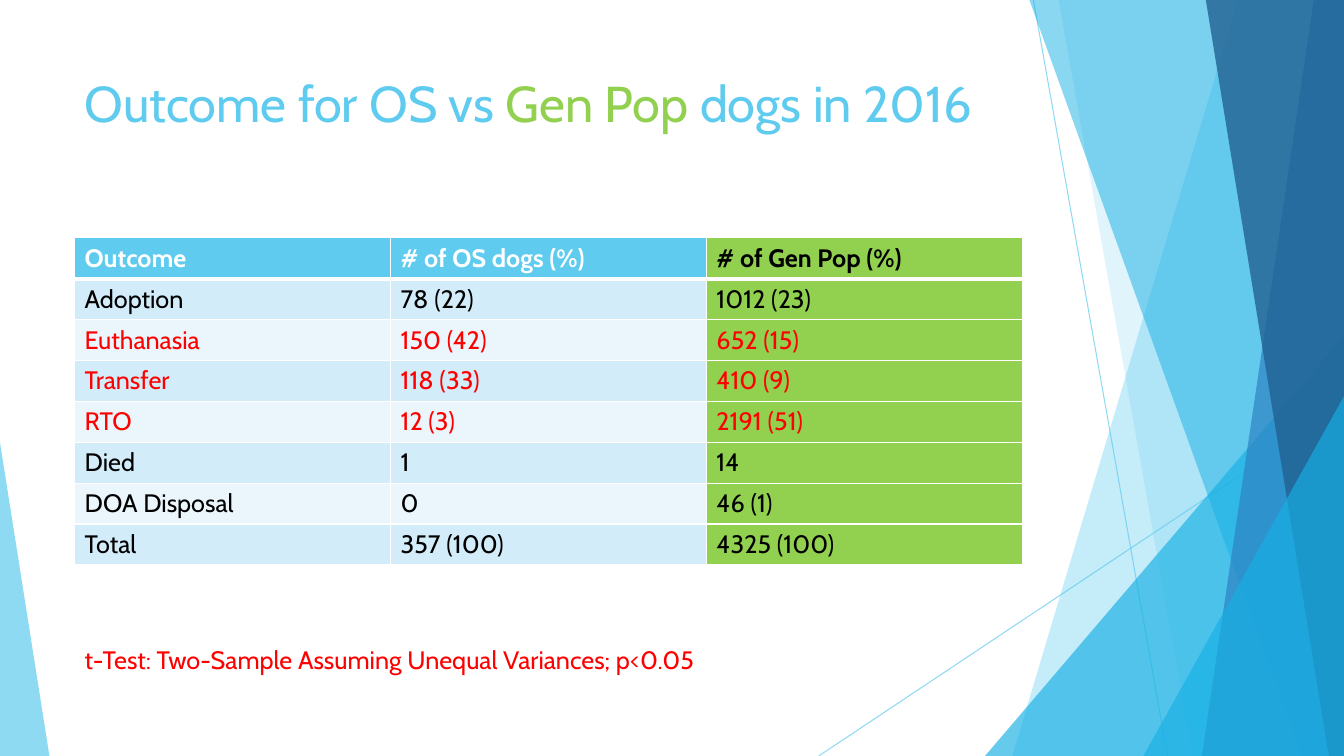
from lxml import etree
from pptx import Presentation
from pptx.dml.color import RGBColor
from pptx.enum.shapes import MSO_CONNECTOR, MSO_SHAPE
from pptx.enum.text import MSO_ANCHOR, MSO_AUTO_SIZE, PP_ALIGN
from pptx.oxml.ns import qn
from pptx.util import Inches, Pt

STRAIGHT = MSO_CONNECTOR.STRAIGHT
TRIANGLE = MSO_SHAPE.ISOSCELES_TRIANGLE
TOP, LEFT = MSO_ANCHOR.TOP, PP_ALIGN.LEFT
NO_AUTOSIZE, FIT_SHAPE = MSO_AUTO_SIZE.NONE, MSO_AUTO_SIZE.SHAPE_TO_FIT_TEXT

FONT = "Cabin"
SKY, CYAN, BLUE, NAVY = "5FCBEF", "17B0E4", "2E83C3", "226292"
GREEN, RED, BLACK, WHITE = "92D050", "FF0000", "000000", "FFFFFF"
BANDS = ("D2ECF9", "EAF6FC")
WIDTH, HEIGHT = 13.33, 7.5

HEADER = ("Outcome", "# of OS dogs (%)", "# of Gen Pop (%)")
OUTCOMES = [
    ("Adoption", "78 (22)", "1012 (23)"),
    ("Euthanasia", "150 (42)", "652 (15)"),
    ("Transfer", "118 (33)", "410 (9)"),
    ("RTO", "12 (3)", "2191 (51)"),
    ("Died", "1", "14"),
    ("DOA Disposal", "0", "46 (1)"),
    ("Total", "357 (100)", "4325 (100)"),
]
SIGNIFICANT = ("Euthanasia", "Transfer", "RTO")


def rgb(code):
    return RGBColor.from_string(code)


def add_run(p, text, size, color, bold=False):
    r = p.add_run()
    r.text = text
    r.font.name, r.font.size, r.font.bold = FONT, Pt(size), bold
    r.font.color.rgb = rgb(color)


def set_alpha(fill_parent, percent):
    """Make the solid fill inside a shape's or line's XML translucent."""
    color = fill_parent.find(qn("a:solidFill"))[0]
    etree.SubElement(color, qn("a:alpha")).set("val", str(percent * 1000))


def paint(s, color, alpha):
    s.shadow.inherit = False
    s.fill.solid()
    s.fill.fore_color.rgb = rgb(color)
    s.line.fill.background()
    set_alpha(s._element.spPr, alpha)


def set_border(cell, side, width):
    """Borders must precede the fill, so call this before filling."""
    ln = etree.SubElement(cell._tc.get_or_add_tcPr(), qn("a:" + side))
    ln.set("w", str(Pt(width)))
    fill = etree.SubElement(ln, qn("a:solidFill"))
    etree.SubElement(fill, qn("a:srgbClr")).set("val", WHITE)


def add_facets(slide, x, y, w, h):
    """Translucent facets along the right edge and in the lower left corner."""
    right, bottom = x + w, y + h

    def ray(x1, y1, x2, y2):
        s = slide.shapes.add_connector(
            STRAIGHT, Inches(x1), Inches(y1), Inches(x2), Inches(y2))
        s.line.color.rgb = rgb(SKY)
        s.line.width = Pt(0.75)
        set_alpha(s._element.spPr.find(qn("a:ln")), 70)
        etree.SubElement(s._element.spPr, qn("a:effectLst"))

    def band(top_x, bottom_x, color, alpha):
        builder = slide.shapes.build_freeform(Inches(x + top_x), Inches(y))
        builder.add_line_segments(
            [(Inches(px), Inches(py)) for px, py in
             ((right, y), (right, bottom), (x + bottom_x, bottom))])
        paint(builder.convert_to_shape(), color, alpha)

    def corner(left, width, height, apex, color, alpha):
        s = slide.shapes.add_shape(
            TRIANGLE, Inches(left), Inches(bottom - height), Inches(width), Inches(height))
        s.adjustments[0] = apex
        paint(s, color, alpha)

    ray(x + 10.25, y, x + 11.58, bottom)
    ray(right, y + 4.03, x + 8.12, bottom)
    band(12.28, 10.04, SKY, 36)
    band(10.5, 11.83, SKY, 20)
    corner(right - 3.56, 3.56, 4.17, 1, CYAN, 66)
    band(10.21, 12.91, CYAN, 50)
    band(13.03, 11.92, BLUE, 70)
    band(11.96, 13.18, NAVY, 80)
    corner(right - 1.99, 1.99, 3.57, 1, CYAN, 66)
    corner(x, 0.49, 3.11, 0, SKY, 70)


def add_title(slide, x, y, w, h):
    s = slide.shapes.title
    s.left, s.top, s.width, s.height = (Inches(v) for v in (x, y, w, h))
    tf = s.text_frame
    tf.word_wrap, tf.auto_size, tf.vertical_anchor = True, NO_AUTOSIZE, TOP
    p = tf.paragraphs[0]
    p.alignment = LEFT
    p.line_spacing = 1.0
    for text, color in (("Outcome for OS vs ", SKY), ("Gen Pop ", GREEN),
                        ("dogs in 2016", SKY)):
        add_run(p, text, 36, color)


def add_outcome_table(slide, x, y, w, h):
    rows = [HEADER] + OUTCOMES
    table = slide.shapes.add_table(
        len(rows), len(HEADER), Inches(x), Inches(y), Inches(w), Inches(h)).table
    for column in table.columns:
        column.width = Inches(w / len(HEADER))
    for i, row in enumerate(rows):
        table.rows[i].height = Inches(h / len(rows))
        for j, text in enumerate(row):
            cell = table.cell(i, j)
            # Thick rule between the header and the body
            for side, rule_row in (("lnL", None), ("lnR", None), ("lnT", 1), ("lnB", 0)):
                set_border(cell, side, 3 if i == rule_row else 1)
            gen_pop = j == len(HEADER) - 1
            if i == 0:
                fill, color = SKY, BLACK if gen_pop else WHITE
            else:
                fill = BANDS[(i - 1) % 2]
                color = RED if row[0] in SIGNIFICANT else BLACK
            cell.fill.solid()
            cell.fill.fore_color.rgb = rgb(GREEN if gen_pop else fill)
            add_run(cell.text_frame.paragraphs[0], text, 18, color, bold=i == 0)


def add_test_note(slide, x, y, w, h):
    s = slide.shapes.add_textbox(Inches(x), Inches(y), Inches(w), Inches(h))
    tf = s.text_frame
    tf.word_wrap, tf.auto_size = False, FIT_SHAPE
    add_run(tf.paragraphs[0],
            "t-Test: Two-Sample Assuming Unequal Variances; p<0.05", 18, RED)


def main():
    prs = Presentation()
    prs.slide_width, prs.slide_height = Inches(WIDTH), Inches(HEIGHT)
    slide = prs.slides.add_slide(prs.slide_layouts[5])
    add_facets(slide, 0, 0, WIDTH, HEIGHT)
    add_title(slide, 0.74, 0.67, 9.4, 1.44)
    add_outcome_table(slide, 0.74, 2.36, 9.4, 3.24)
    add_test_note(slide, 0.74, 6.34, 6.54, 0.4)
    prs.save("out.pptx")


if __name__ == "__main__":
    main()
